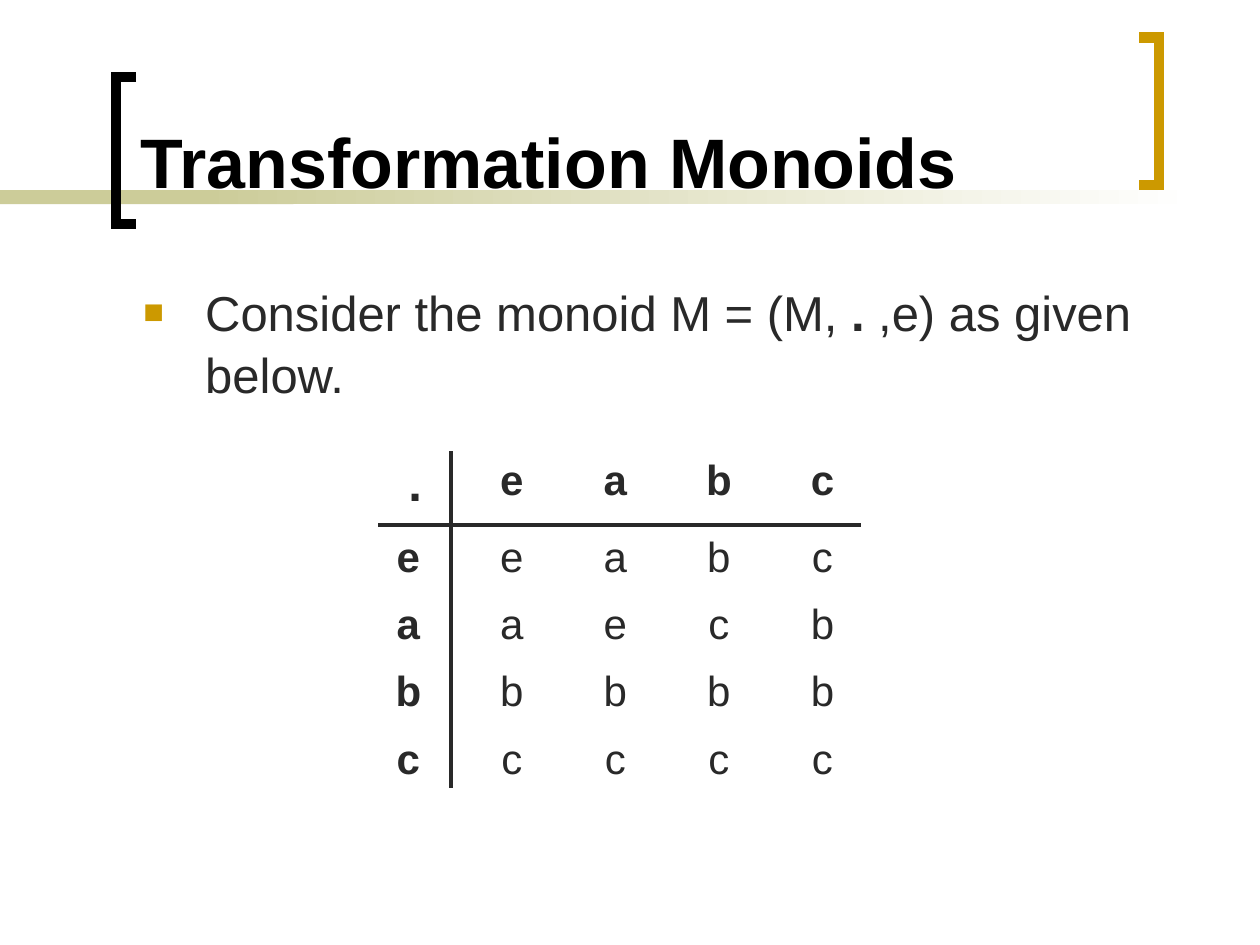
from lxml import etree
from pptx import Presentation
from pptx import util as u
from pptx.dml.color import RGBColor
from pptx.enum import shapes, text
from pptx.oxml.ns import qn

BLACK, GOLD, SAND, WHITE, INK = "000000", "CC9900", "CCCC99", "FFFFFF", "292929"
MONOID = "eabc"
PRODUCTS = ["eabc", "aecb", "bbbb", "cccc"]


def color(value):
    return RGBColor.from_string(value)


def set_line(shape, value, points):
    shape.line.color.rgb = color(value)
    shape.line.width = u.Pt(points)


def add_run(paragraph, words, size, value, bold=False):
    run = paragraph.add_run()
    run.text = words
    for name, setting in {"name": "Arial", "size": u.Pt(size), "bold": bold}.items():
        setattr(run.font, name, setting)
    run.font.color.rgb = color(value)


def add_text_frame(slide, left, top, width, height, anchor):
    box = slide.shapes.add_textbox(*map(u.Inches, (left, top, width, height)))
    frame = box.text_frame
    frame.word_wrap = True
    frame.vertical_anchor = anchor
    return frame


def add_band(slide, left, top, width, height, solid_width, fade_left):
    """Place a solid bar and, above it, a bar that fades to white."""
    bars = [(left, solid_width), (fade_left, left + width - fade_left)]
    solid, fade = [
        slide.shapes.add_shape(
            shapes.MSO_SHAPE.RECTANGLE, *map(u.Inches, (bar_left, top, bar_width, height)))
        for bar_left, bar_width in bars
    ]
    for bar in (solid, fade):
        bar.shadow.inherit = False
        bar.line.fill.background()
    solid.fill.solid()
    solid.fill.fore_color.rgb = color(SAND)
    fade.fill.gradient()
    fade.fill.gradient_angle = 0
    for stop, value, position in zip(fade.fill.gradient_stops, (SAND, WHITE), (0, 1)):
        stop.color.rgb = color(value)
        stop.position = position


def add_bracket(slide, left, top, width, height, value, opens_right):
    right, bottom = left + width, top + height
    spine, tip = (left, right) if opens_right else (right, left)
    points = [(u.Inches(x), u.Inches(y))
              for x, y in ((tip, top), (spine, top), (spine, bottom), (tip, bottom))]
    builder = slide.shapes.build_freeform(*points[0])
    builder.add_line_segments(points[1:], close=False)
    bracket = builder.convert_to_shape()
    bracket.shadow.inherit = False
    bracket.fill.background()
    set_line(bracket, value, 6)
    etree.SubElement(bracket.line._get_or_add_ln(), qn("a:miter"), lim="800000")


def add_title(slide, left, top, width, height):
    frame = add_text_frame(slide, left, top, width, height, text.MSO_ANCHOR.BOTTOM)
    add_run(frame.paragraphs[0], "Transformation Monoids", 40, BLACK, True)


def add_body(slide, left, top, width, height):
    frame = add_text_frame(slide, left, top, width, height, text.MSO_ANCHOR.TOP)
    paragraph = frame.paragraphs[0]
    paragraph.line_spacing = 1.05
    properties = paragraph._p.get_or_add_pPr()
    properties.set("marL", str(u.Inches(0.49)))
    properties.set("indent", str(u.Inches(-0.49)))
    bullet_color = etree.SubElement(properties, qn("a:buClr"))
    etree.SubElement(bullet_color, qn("a:srgbClr"), val=GOLD)
    etree.SubElement(properties, qn("a:buSzPct"), val="70000")
    etree.SubElement(properties, qn("a:buFont"), typeface="Arial")
    etree.SubElement(properties, qn("a:buChar"), char="■")
    add_run(paragraph, "Consider the monoid M = (M, ", 28, INK)
    add_run(paragraph, ".", 28, INK, True)
    add_run(paragraph, " ,e) as given below.", 28, INK)


def add_rule(slide, *ends):
    rule = slide.shapes.add_connector(
        shapes.MSO_CONNECTOR.STRAIGHT, *map(u.Inches, ends))
    set_line(rule, INK, 2.25)
    etree.SubElement(rule._element.spPr, qn("a:effectLst"))


def add_product_table(slide, left, top, width, height):
    rows = [[" .", *MONOID]] + [[name, *row] for name, row in zip(MONOID, PRODUCTS)]
    count = len(rows)
    head_height = 0.61
    table = slide.shapes.add_table(
        count, count, *map(u.Inches, (left, top, width, height))).table
    table.first_row = table.horz_banding = False
    for index in range(count):
        row_height = (height - head_height) / (count - 1) if index else head_height
        table.rows[index].height = u.Inches(row_height)
        table.columns[index].width = u.Inches(width / count)
    for r, row in enumerate(rows):
        for c, symbol in enumerate(row):
            cell = table.cell(r, c)
            cell.fill.background()
            paragraph = cell.text_frame.paragraphs[0]
            paragraph.alignment = text.PP_ALIGN.CENTER
            is_corner, is_heading = r == c == 0, r == 0 or c == 0
            add_run(paragraph, symbol, 28 if is_corner else 24, INK, is_heading)
    add_rule(slide, left + 0.75, top, left + 0.75, top + 2.67)
    add_rule(slide, left + 0.17, top + 0.59, left + 4, top + 0.59)


def main():
    presentation = Presentation()
    presentation.slide_width = u.Inches(10)
    presentation.slide_height = u.Inches(7.5)
    slide = presentation.slides.add_slide(presentation.slide_layouts[6])
    add_band(slide, 0, 1.51, 9.5, 0.11, solid_width=2.33, fade_left=1.58)
    add_bracket(slide, 0.92, 0.61, 0.16, 1.17, BLACK, opens_right=True)
    add_bracket(slide, 9.04, 0.3, 0.16, 1.17, GOLD, opens_right=False)
    add_title(slide, 1.02, 0.11, 7.83, 1.55)
    add_body(slide, 1.04, 2.17, 8.3, 1.25)
    add_product_table(slide, 2.83, 3.58, 4.11, 2.75)
    presentation.save("out.pptx")


if __name__ == "__main__":
    main()
